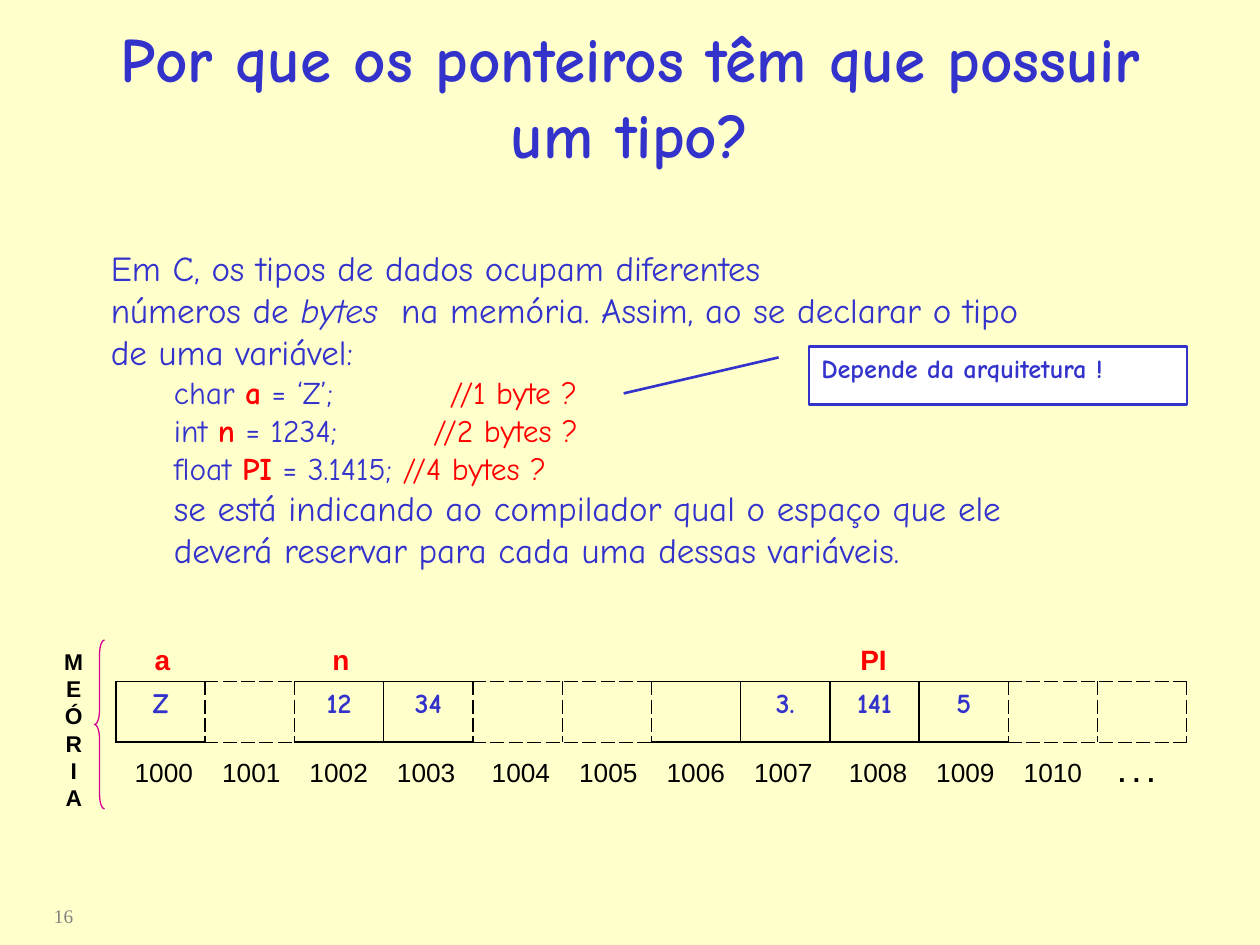
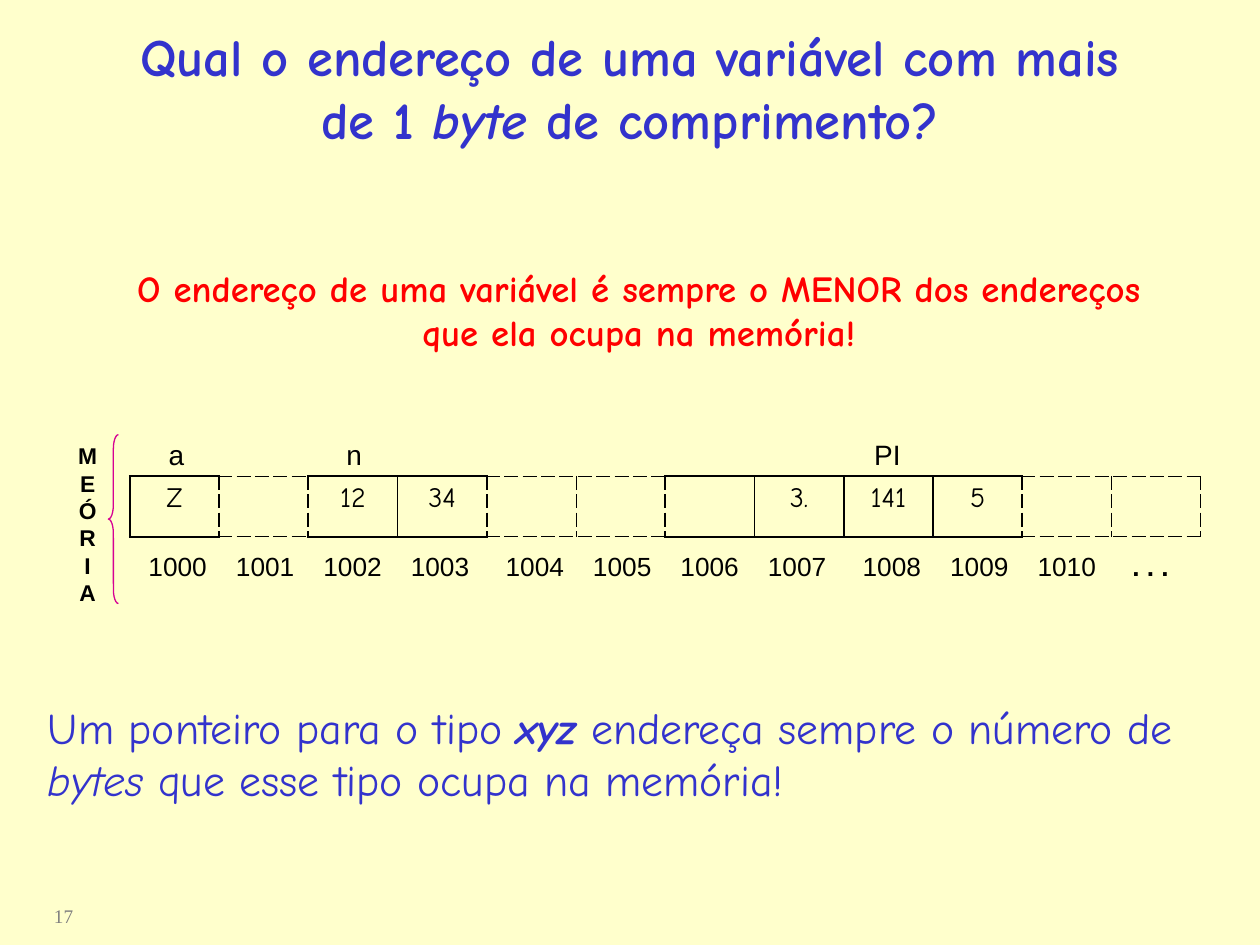
from lxml.etree import SubElement
from pptx import Presentation
from pptx.dml.color import RGBColor
from pptx.enum.shapes import MSO_SHAPE
from pptx.enum.text import MSO_ANCHOR, MSO_AUTO_SIZE, PP_ALIGN
from pptx.oxml.ns import qn
from pptx.util import Emu, Inches, Pt

COLORS = {
    "paper": "FFFFCC",
    "blue": "3333CC",
    "red": "FF0000",
    "black": "000000",
    "gray": "808080",
    "white": "FFFFFF",
    "brace": "D60093",
}
HAND, SANS, SERIF = "Comic Neue", "Arial", "Times New Roman"
COLUMNS, ROWS = 100, 75

MEMORY = ["Z", "", "12", "34", "", "", "", "3.", "141", "5", "", ""]
OWNED = [index in (0, 2, 3, 6, 7, 8, 9) for index in range(len(MEMORY))]
ADDRESSES = [str(1000 + index) for index in range(11)] + [". . ."]
VARIABLES = {"a": 1.1, "n": 15.2, "PI": 57.1}


class Lecture:
    """Holds the lecture's style and current page, placing elements on a 100 by 75 grid."""

    def __init__(self):
        self.deck = Presentation()
        self.deck.slide_width, self.deck.slide_height = Inches(10), Inches(7.5)
        self.column = self.deck.slide_width / COLUMNS
        self.row = self.deck.slide_height / ROWS
        fill = self.deck.slide_master.background.fill
        fill.solid()
        fill.fore_color.rgb = self.color("paper")
        self.page = None

    def color(self, name):
        """Return the named colour."""
        return RGBColor.from_string(COLORS[name])

    def place(self, left, top, width, height):
        """Turn grid columns and rows into lengths."""
        return (Emu(round(left * self.column)), Emu(round(top * self.row)),
                Emu(round(width * self.column)), Emu(round(height * self.row)))

    def move(self, shape, area):
        """Move a shape to a grid area."""
        shape.left, shape.top, shape.width, shape.height = self.place(*area)

    def paint(self, shape, fill, line, weight):
        """Set a shape's fill and outline and drop its shadow."""
        shape.shadow.inherit = False
        if fill:
            shape.fill.solid()
            shape.fill.fore_color.rgb = self.color(fill)
        else:
            shape.fill.background()
        shape.line.color.rgb = self.color(line)
        shape.line.width = Pt(weight)

    def format_para(self, para, spans, font, size, color, bold=False,
                    align=PP_ALIGN.LEFT, before=0, indent=0):
        """Fill a paragraph with (text, style words) spans, without a bullet."""
        para.alignment = align
        para.space_before = Pt(before)
        properties = para._p.get_or_add_pPr()
        properties.set("marL", str(round(indent * self.column)))
        properties.set("indent", "0")
        SubElement(properties, qn("a:buNone"))
        for text, style in spans:
            span = para.add_run()
            span.text = text
            span.font.name, span.font.size = font, Pt(size)
            span.font.bold = bold or "bold" in style
            span.font.italic = "italic" in style
            span.font.color.rgb = self.color("red" if "red" in style else color)

    def fill_frame(self, frame, paras, wrap=True, anchor=MSO_ANCHOR.TOP, **style):
        """Write paragraphs, each a span list with its own overrides, into a frame."""
        frame.word_wrap = wrap
        frame.auto_size = MSO_AUTO_SIZE.NONE
        frame.vertical_anchor = anchor
        for index, (spans, overrides) in enumerate(paras):
            para = frame.add_paragraph() if index else frame.paragraphs[0]
            self.format_para(para, spans, **{**style, **overrides})

    def add_page(self, number, title, area, size):
        """Start a page with its title and number."""
        self.page = self.deck.slides.add_slide(self.deck.slide_layouts[1])
        heading = self.page.shapes.title
        self.move(heading, area)
        self.fill_frame(heading.text_frame, [(title, {})], anchor=MSO_ANCHOR.MIDDLE,
                        font=HAND, size=size, color="blue", bold=True,
                        align=PP_ALIGN.CENTER)
        self.add_text((3.3, 71.3, 19.2, 2.9), [str(number)],
                      font=SERIF, size=11, color="gray", before=6.9)

    def add_body(self, area, paras, size):
        """Write the body placeholder."""
        body = self.page.placeholders[1]
        self.move(body, area)
        body.fill.solid()
        body.fill.fore_color.rgb = self.color("paper")
        self.fill_frame(body.text_frame, paras, font=HAND, size=size, color="blue")

    def add_text(self, area, lines, **style):
        """Add a text box with one paragraph per line."""
        box = self.page.shapes.add_textbox(*self.place(*area))
        paras = [([(line, "")], {}) for line in lines]
        self.fill_frame(box.text_frame, paras, **style)

    def add_callout(self, area, text, adjustments):
        """Add a bordered note with a leader line."""
        note = self.page.shapes.add_shape(MSO_SHAPE.LINE_CALLOUT_1, *self.place(*area))
        for index, value in enumerate(adjustments):
            note.adjustments[index] = value
        self.paint(note, "white", "blue", 1.5)
        self.fill_frame(note.text_frame, [([(text, "")], {})],
                        font=HAND, size=15, color="blue", bold=True)

    def add_border(self, cell, side, first, second):
        """Draw a cell edge whose style depends on the two cells it separates."""
        weight = Pt(1.08 if first or second else 0.45)
        line = SubElement(cell._tc.get_or_add_tcPr(), qn("a:ln" + side), w=str(weight))
        fill = SubElement(line, qn("a:solidFill"))
        SubElement(fill, qn("a:srgbClr"), val=COLORS["black"])
        SubElement(line, qn("a:prstDash"), val="solid" if first and second else "dash")

    def add_cells(self, area, color, bold):
        """Add the table of memory cells."""
        table = self.page.shapes.add_table(1, len(MEMORY), *self.place(*area)).table
        table.first_row = table.horz_banding = False
        for index, value in enumerate(MEMORY):
            cell, own = table.cell(0, index), OWNED[index]
            before = OWNED[max(index - 1, 0)]
            after = OWNED[min(index + 1, len(OWNED) - 1)]
            for side, neighbour in zip("LRTB", (before, after, own, own)):
                self.add_border(cell, side, own, neighbour)
            cell.fill.background()
            if value:
                self.format_para(cell.text_frame.paragraphs[0], [(value, "")], HAND, 16,
                                 color, bold, PP_ALIGN.CENTER, before=4)

    def add_memory(self, left, top, cell_color, label_color, bold):
        """Add the memory diagram: cells, addresses, variables, side word and brace."""
        self.add_cells((left, top, 85, 4.8), cell_color, bold)
        for index, address in enumerate(ADDRESSES):
            shift = 6.94 * index + 0.58 * (index // 4 + index // 11)
            self.add_text((left + 0.5 + shift, top + 5.4, 7.5, 3.5), [address],
                          font=SANS, size=15, color="black", bold=address == ". . .")
        for name, shift in VARIABLES.items():
            self.add_text((left + 1 + shift, top - 3.6, 6, 3.7), [name],
                          font=SANS, size=16, color=label_color, bold=bold)
        self.add_text((left - 5.1, top - 3.2, 3.5, 14), "MEÓRIA", wrap=False,
                      font=SANS, size=13, color="black", bold=True,
                      align=PP_ALIGN.CENTER)
        brace = self.page.shapes.add_shape(
            MSO_SHAPE.LEFT_BRACE, *self.place(left - 1.7, top - 3.3, 0.8, 13.4))
        brace.adjustments[0] = 1.4
        self.paint(brace, None, "brace", 0.74)


def build_types(lecture):
    """Build the page on why pointers have a type."""
    lecture.add_page(16, [("Por que os ponteiros têm que possuir um tipo?", "")],
                     (7.5, 1.3, 85, 12.5), 36)
    paras = [
        ([("Em C, os tipos de dados ocupam diferentes", "")], {}),
        ([("números de ", ""), ("bytes ", "italic"),
          (" na memória. Assim, ao se declarar o tipo de uma variável:", "")], {}),
    ]
    declarations = [
        [("char ", ""), ("a", "bold red"), (" = ‘Z’;", "")],
        [("int ", ""), ("n", "bold red"), (" = 1234;", "")],
        [("float ", ""), ("PI", "bold red"), (" = 3.1415; ", ""), ("//4 bytes ?", "red")],
    ]
    paras += [(spans, {"size": 18, "indent": 5}) for spans in declarations]
    for line in ("se está indicando ao compilador qual o espaço que ele",
                 "deverá reservar para cada uma dessas variáveis."):
        paras.append(([(line, "")], {"indent": 5}))
    lecture.add_body((7.8, 19.1, 74.4, 26.7), paras, 20)
    for left, top, comment in ((34.7, 29.1, "//1 byte ?"), (33.4, 32.1, "//2 bytes ?")):
        lecture.add_text((left, top, 14, 4), [comment], font=HAND, size=18, color="red")
    lecture.add_memory(9.2, 54.1, "blue", "red", True)
    lecture.add_callout((64.2, 27.5, 30, 4.6), "Depende da arquitetura !",
                        (0.19, -0.08, 0.81, -0.49))


def build_addresses(lecture):
    """Build the page on the address of a long variable."""
    lecture.add_page(17, [("Qual o endereço de uma variável com mais de 1 ", ""),
                          ("byte", "italic"), (" de comprimento?", "")],
                     (7.5, 0, 85, 13.8), 30)
    lecture.add_body((2.8, 55.1, 92.8, 9.4), [
        ([("Um ponteiro para o tipo ", ""), ("xyz", "bold italic"),
          (" endereça sempre o número de", "")], {}),
        ([("bytes", "italic"), (" que esse tipo ocupa na memória!", "")], {}),
    ], 25)
    lecture.add_memory(10.3, 37.8, "black", "black", False)
    lecture.add_text((9.7, 20.6, 82, 8), [
        "O endereço de uma variável é sempre o MENOR dos endereços",
        "que ela ocupa na memória!",
    ], wrap=False, font=HAND, size=21, color="red", bold=True, align=PP_ALIGN.CENTER)


lecture = Lecture()
build_types(lecture)
build_addresses(lecture)
lecture.deck.save("out.pptx")
